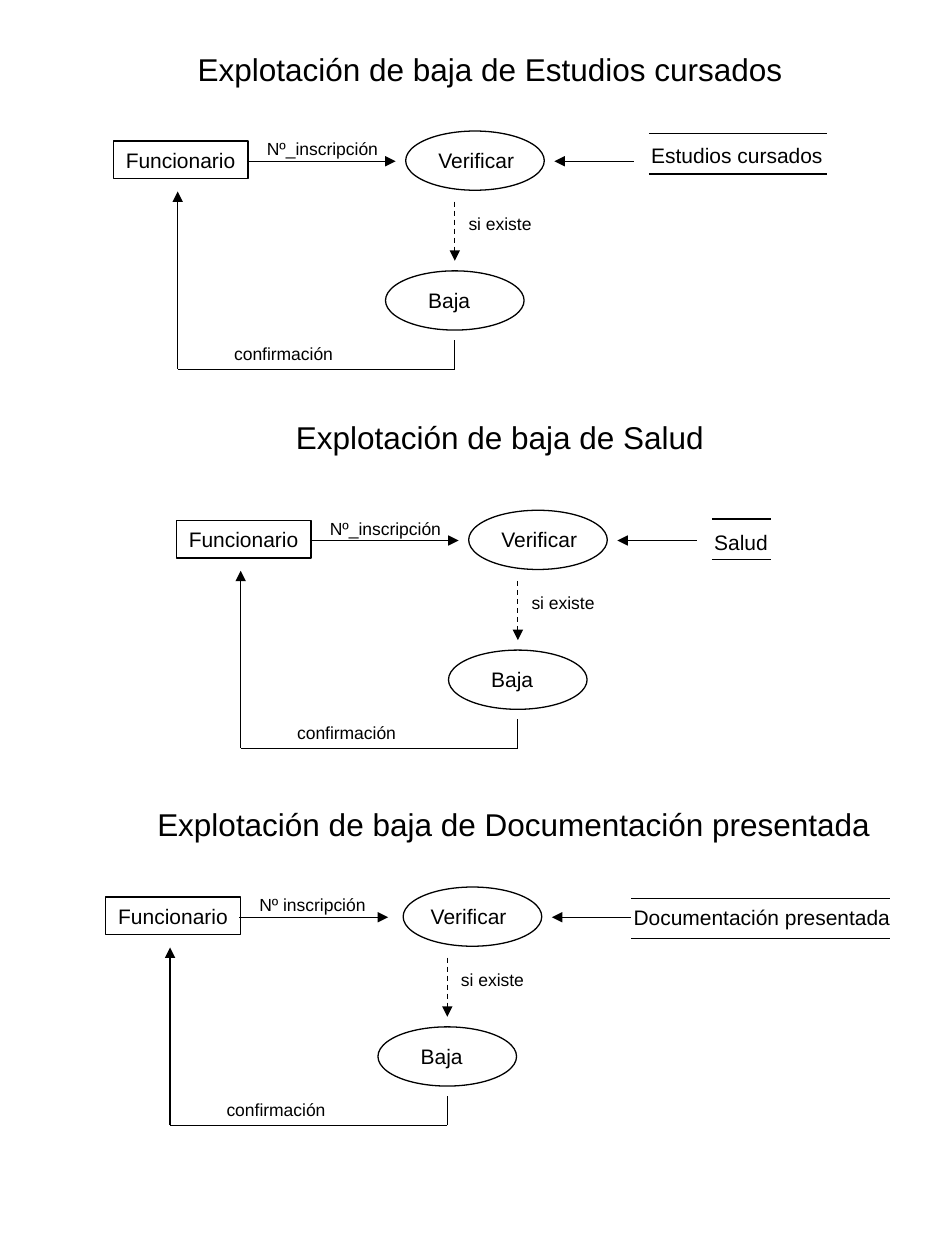
"""Build a slide with three data flow diagrams for record removal."""
from dataclasses import dataclass

from pptx import Presentation
from pptx.dml.color import RGBColor
from pptx.enum.dml import MSO_LINE
from pptx.enum.shapes import MSO_CONNECTOR as Connector, MSO_SHAPE as Shape
from pptx.enum.text import MSO_ANCHOR as Anchor, MSO_AUTO_SIZE as AutoSize, PP_ALIGN as Align
from pptx.oxml.ns import qn
from pptx.shapes.shapetree import GroupShapes
from pptx.text.text import TextFrame
from pptx.util import Inches, Pt
from lxml.etree import SubElement

COLORS = {"ink": "000000"}
FONT = "Arial"
TITLE_SIZE, NODE_SIZE, LABEL_SIZE = 18, 12, 10
ELLIPSE_SIZE = (1.1, 0.47)
STORE_GAP = 0.32
TEXT_SLACK = 0.02


@dataclass(frozen=True)
class Diagram:
    """A titled flow, placed by the corner of its Funcionario box."""
    title: str
    title_box: tuple[float, float, float]
    left: float
    top: float
    input_label: str
    input_width: float
    store: str
    store_left: float
    store_width: float
    store_top: float
    store_text_top: float
    verify_shift: float = 0.0


DIAGRAMS = [
    Diagram("Explotación de baja de Estudios cursados", (1.47, 0.35, 4.84),
            0.9, 1.12, "Nº_inscripción", 1.08,
            "Estudios cursados", 5.15, 1.41, 1.06, 1.08),
    Diagram("Explotación de baja de Salud", (2.25, 3.27, 3.44),
            1.4, 4.13, "Nº_inscripción", 1.08,
            "Salud", 5.65, 0.47, 4.12, 4.15),
    Diagram("Explotación de baja de Documentación presentada", (1.15, 6.34, 5.85),
            0.84, 7.12, "Nº inscripción", 1.04,
            "Documentación presentada", 5.01, 2.05, 7.13, 7.13, 0.04),
]


def write(frame: TextFrame, text: str, size: float) -> None:
    """Put one left-aligned line that never wraps into a text frame."""
    frame.word_wrap = False
    frame.auto_size = AutoSize.SHAPE_TO_FIT_TEXT
    frame.vertical_anchor = Anchor.TOP
    paragraph = frame.paragraphs[0]
    paragraph.text = text
    paragraph.alignment = Align.LEFT
    paragraph.font.name = FONT
    paragraph.font.size = Pt(size)
    paragraph.font.color.rgb = RGBColor.from_string(COLORS["ink"])


def add_text(shapes: GroupShapes, text: str, left: float, top: float,
             width: float, size: float) -> None:
    """Add a text box one line high."""
    height = round(size / 60 + 0.1, 2)
    box = shapes.add_textbox(Inches(left), Inches(top),
                             Inches(width + TEXT_SLACK), Inches(height))
    write(box.text_frame, text, size)


def add_outline(shapes: GroupShapes, kind: Shape, left: float, top: float,
                width: float, height: float, text: str = "") -> None:
    """Add an unfilled shape with a thin outline."""
    shape = shapes.add_shape(kind, Inches(left), Inches(top), Inches(width), Inches(height))
    shape.shadow.inherit = False
    shape.fill.background()
    shape.line.color.rgb = RGBColor.from_string(COLORS["ink"])
    shape.line.width = Pt(0.75)
    if text:
        write(shape.text_frame, text, NODE_SIZE)


def add_line(shapes: GroupShapes, start: tuple[float, float], end: tuple[float, float],
             arrow: bool = False, dashed: bool = False) -> None:
    """Add a straight line, with an arrowhead at its end if asked."""
    line = shapes.add_connector(Connector.STRAIGHT, *map(Inches, start + end))
    line.line.color.rgb = RGBColor.from_string(COLORS["ink"])
    line.line.width = Pt(0.75)
    if dashed:
        line.line.dash_style = MSO_LINE.DASH
    properties = line._element.spPr
    if arrow:
        SubElement(properties.find(qn("a:ln")), qn("a:tailEnd"), type="triangle")
    SubElement(properties, qn("a:effectLst"))


def draw_diagram(shapes: GroupShapes, diagram: Diagram) -> None:
    """Draw the nodes, flows and data store of one diagram."""
    left, top = diagram.left, diagram.top
    verify_left = left + 2.32 + diagram.verify_shift
    middle = top + 0.16
    down_x, return_x, return_y = left + 2.71, left + 0.51, top + 1.81

    add_outline(shapes, Shape.RECTANGLE, left, top, 1.07, 0.3, "Funcionario")
    add_outline(shapes, Shape.OVAL, verify_left, top - 0.08, *ELLIPSE_SIZE)
    add_text(shapes, "Verificar", left + 2.48, top, 0.87, NODE_SIZE)
    add_outline(shapes, Shape.OVAL, left + 2.16, top + 1.03, *ELLIPSE_SIZE)
    add_text(shapes, "Baja", left + 2.4, top + 1.11, 0.63, NODE_SIZE)

    add_line(shapes, (left + 1.06, middle), (left + 2.24, middle), arrow=True)
    add_text(shapes, diagram.input_label, left + 1.12, top - 0.07,
             diagram.input_width, LABEL_SIZE)
    add_line(shapes, (verify_left + 1.81, middle), (verify_left + 1.18, middle), arrow=True)
    add_line(shapes, (down_x, top + 0.48), (down_x, top + 0.95), arrow=True, dashed=True)
    add_text(shapes, "si existe", left + 2.72, top + 0.52, 0.7, LABEL_SIZE)

    add_line(shapes, (down_x, top + 1.58), (down_x, return_y))
    add_line(shapes, (down_x, return_y), (return_x, return_y))
    add_line(shapes, (return_x, return_y), (return_x, top + 0.4), arrow=True)
    add_text(shapes, "confirmación", left + 0.86, top + 1.55, 0.98, LABEL_SIZE)

    store_right = diagram.store_left + diagram.store_width
    for y in (diagram.store_top, diagram.store_top + STORE_GAP):
        add_line(shapes, (diagram.store_left, y), (store_right, y))
    add_text(shapes, diagram.store, diagram.store_left - 0.08, diagram.store_text_top,
             diagram.store_width + 0.18, NODE_SIZE)


def main() -> None:
    """Create and save the presentation."""
    presentation = Presentation()
    presentation.slide_width, presentation.slide_height = Inches(7.5), Inches(10)
    slide = presentation.slides.add_slide(presentation.slide_layouts[6])
    for diagram in DIAGRAMS:
        add_text(slide.shapes, diagram.title, *diagram.title_box, TITLE_SIZE)
        draw_diagram(slide.shapes.add_group_shape().shapes, diagram)
    presentation.save("out.pptx")


if __name__ == "__main__":
    main()
